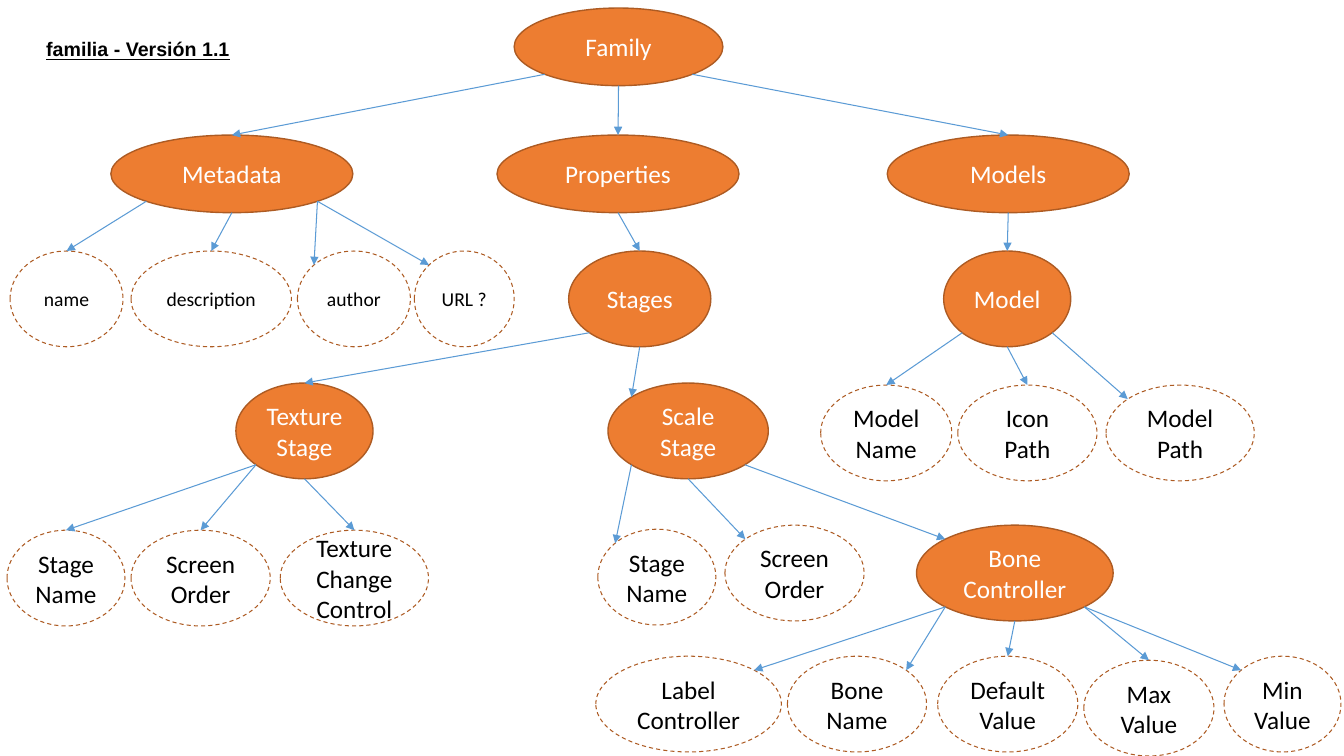
from math import cos, pi, sin
from lxml.etree import SubElement
from pptx import Presentation
from pptx.dml.color import RGBColor
from pptx.enum.dml import MSO_LINE_DASH_STYLE as Dash
from pptx.enum.shapes import MSO_CONNECTOR as Connector, MSO_SHAPE as Shape
from pptx.enum.text import MSO_ANCHOR as Anchor, PP_ALIGN as Align
from pptx.oxml.ns import qn
from pptx.util import Inches, Pt

TITLE = "familia - Versión 1.1"

BRANCHES = {
    "family": ("Family", 5.1, 0.08, 2.07, 0.77),
    "metadata": ("Metadata", 1.1, 1.34, 2.4, 0.77),
    "properties": ("Properties", 4.93, 1.34, 2.4, 0.77),
    "models": ("Models", 8.8, 1.34, 2.4, 0.77),
    "stages": ("Stages", 5.64, 2.49, 1.41, 0.95),
    "model": ("Model", 9.36, 2.49, 1.26, 0.95),
    "texture": ("Texture Stage", 2.34, 3.8, 1.36, 0.95),
    "scale": ("Scale Stage", 6.03, 3.8, 1.59, 0.95),
    "bone": ("Bone\nController", 9.09, 5.21, 1.95, 0.95),
}
FIELDS = {
    "name": ("name", 0.1, 2.49, 1.12, 0.95),
    "description": ("description", 1.3, 2.49, 1.59, 0.95),
    "author": ("author", 2.95, 2.49, 1.12, 0.95),
    "url": ("URL ?", 4.11, 2.49, 0.99, 0.95),
}
LEAVES = {
    "model name": ("Model Name", 8.14, 3.82, 1.3, 0.95),
    "icon path": ("Icon Path", 9.5, 3.82, 1.38, 0.95),
    "model path": ("Model Path", 10.97, 3.82, 1.47, 0.95),
    "texture name": ("Stage\nName", 0.07, 5.26, 1.17, 0.95),
    "texture order": ("Screen\nOrder", 1.3, 5.26, 1.38, 0.95),
    "texture control": ("Texture\nChange\nControl", 2.78, 5.26, 1.47, 0.95),
    "scale name": ("Stage Name", 5.93, 5.25, 1.17, 0.95),
    "scale order": ("Screen\nOrder", 7.19, 5.21, 1.38, 0.95),
    "label": ("Label\nController", 5.91, 6.51, 1.84, 0.95),
    "bone name": ("Bone\nName", 7.81, 6.51, 1.38, 0.95),
    "default": ("Default\nValue", 9.3, 6.51, 1.39, 0.95),
    "max": ("Max\nValue", 10.75, 6.55, 1.29, 0.95),
    "min": ("Min\nValue", 12.14, 6.51, 1.16, 0.95),
}

SITES = ["top", "top left", "left", "bottom left",
         "bottom", "bottom right", "right", "top right"]
LINKS = {
    "family": [("bottom left", "metadata", "top"), ("bottom", "properties", "top"),
               ("bottom right", "models", "top")],
    "metadata": [("bottom left", "name", "top"), ("bottom", "description", "top"),
                 ("bottom right", "author", "top left"),
                 ("bottom right", "url", "top left")],
    "properties": [("bottom", "stages", "top")],
    "models": [("bottom", "model", "top")],
    "model": [("bottom left", "model name", "top"), ("bottom", "icon path", "top"),
              ("bottom right", "model path", "top left")],
    "stages": [("bottom left", "texture", "top"), ("bottom", "scale", "top left")],
    "texture": [("bottom left", "texture name", "top"),
                ("bottom left", "texture order", "top"),
                ("bottom", "texture control", "top")],
    "scale": [("bottom left", "scale name", "top left"),
              ("bottom", "scale order", "top left"),
              ("bottom right", "bone", "top left")],
    "bone": [("bottom left", "label", "top right"),
             ("bottom left", "bone name", "top right"),
             ("bottom", "default", "top"), ("bottom right", "max", "top"),
             ("bottom right", "min", "top left")],
}

THEME = {
    "fill": RGBColor.from_string("ED7D31"),
    "outline": RGBColor.from_string("AD5B23"),
    "arrow": RGBColor.from_string("5B9BD5"),
    "light": RGBColor.from_string("FFFFFF"),
    "dark": RGBColor.from_string("000000"),
    "font": "Calibri", "title font": "Arial",
    "large": Pt(18), "small": Pt(14),
    "solid": Pt(1), "thin": Pt(0.75),
}


def apply(target, values):
    for key, value in values.items():
        setattr(target, key, value)


def write(box, text, align, color, **font):
    frame = box.text_frame
    frame.word_wrap = True
    frame.text = text
    for para in frame.paragraphs:
        para.alignment = align
        for span in para.runs:
            apply(span.font, font)
            span.font.color.rgb = color
    return frame


def add_node(slide, node, filled, size):
    label, *bounds = node
    oval = slide.shapes.add_shape(Shape.OVAL, *map(Inches, bounds))
    oval.shadow.inherit = False
    oval.line.color.rgb = THEME["outline"]
    if filled:
        oval.fill.solid()
        oval.fill.fore_color.rgb = THEME["fill"]
        oval.line.width = THEME["solid"]
    else:
        oval.fill.background()
        apply(oval.line, {"width": THEME["thin"], "dash_style": Dash.DASH})
    color = THEME["light" if filled else "dark"]
    frame = write(oval, label, Align.CENTER, color, name=THEME["font"], size=size)
    frame.vertical_anchor = Anchor.MIDDLE
    return oval


def site_point(oval, site):
    angle = SITES.index(site) * pi / 4
    return (int(oval.left + oval.width * (1 - sin(angle)) / 2),
            int(oval.top + oval.height * (1 - cos(angle)) / 2))


def add_arrow(slide, parent, start, child, end):
    arrow = slide.shapes.add_connector(
        Connector.STRAIGHT, *site_point(parent, start), *site_point(child, end))
    arrow.line.color.rgb = THEME["arrow"]
    arrow.line.width = THEME["thin"]
    SubElement(arrow.line._get_or_add_ln(), qn("a:tailEnd"), type="triangle")
    SubElement(arrow._element.spPr, qn("a:effectLst"))
    glue = arrow._element.find(".//" + qn("p:cNvCxnSpPr"))
    for tag, oval, site in (("a:stCxn", parent, start), ("a:endCxn", child, end)):
        SubElement(glue, qn(tag), id=str(oval.shape_id), idx=str(SITES.index(site)))


deck = Presentation()
apply(deck, {"slide_width": Inches(13.33), "slide_height": Inches(7.5)})
page = deck.slides.add_slide(deck.slide_layouts[6])

ovals = {}
for group, filled, size in ((BRANCHES, True, "large"), (FIELDS, False, "small"),
                            (LEAVES, False, "large")):
    for key, node in group.items():
        ovals[key] = add_node(page, node, filled, THEME[size])

for parent, links in LINKS.items():
    for start, child, end in links:
        add_arrow(page, ovals[parent], start, ovals[child], end)

title = page.shapes.add_textbox(*map(Inches, (0.36, 0.27, 2.63, 0.4)))
title_frame = write(title, TITLE, Align.LEFT, THEME["dark"], name=THEME["title font"],
                    size=THEME["small"], bold=True, underline=True)
for side in ("left", "top", "right", "bottom"):
    setattr(title_frame, f"margin_{side}", Inches(0.1))

deck.save("out.pptx")
